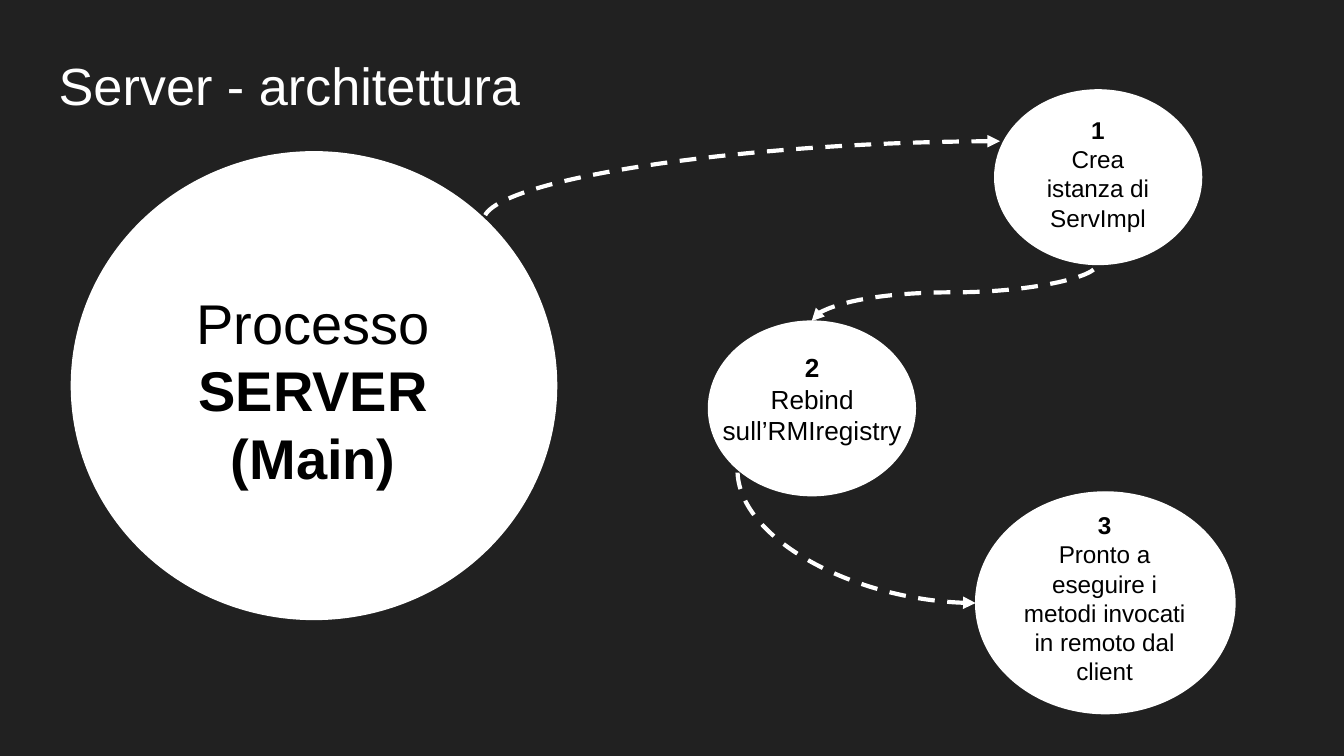
from dataclasses import dataclass

from lxml.etree import SubElement
from pptx import Presentation
from pptx.dml.color import RGBColor
from pptx.enum.dml import MSO_LINE
from pptx.enum.shapes import MSO_CONNECTOR, MSO_SHAPE
from pptx.enum.text import MSO_ANCHOR, MSO_AUTO_SIZE, PP_ALIGN
from pptx.oxml.ns import qn
from pptx.slide import Slide
from pptx.text.text import TextFrame
from pptx.util import Cm, Pt

BACKGROUND = RGBColor(0x21, 0x21, 0x21)
WHITE = RGBColor(0xFF, 0xFF, 0xFF)
BLACK = RGBColor(0x00, 0x00, 0x00)
FONT = "Arial"


@dataclass
class Area:
    """A rectangle in centimetres."""
    left: float
    top: float
    width: float
    height: float

    def lengths(self) -> tuple[Cm, Cm, Cm, Cm]:
        return Cm(self.left), Cm(self.top), Cm(self.width), Cm(self.height)


@dataclass
class Line:
    text: str
    bold: bool = False


@dataclass
class Bubble:
    ellipse: Area
    label: Area
    size: int
    lines: list[Line]


@dataclass
class Arrow:
    """A curve whose arrowhead lies at its start, in centimetres."""
    head: tuple[float, float]
    tail: tuple[float, float]
    s_curve: bool = False


BUBBLES = [
    Bubble(Area(1.35, 2.87, 9.17, 8.84), Area(2.06, 5.21, 7.72, 4.19), 30,
           [Line("Processo"), Line("SERVER", True), Line("(Main)", True)]),
    Bubble(Area(18.8, 1.7, 3.91, 3.3), Area(19.3, 1.93, 2.9, 2.64), 13,
           [Line("1", True), Line("Crea istanza di ServImpl")]),
    Bubble(Area(13.39, 6.07, 3.91, 3.3), Area(13.39, 6.4, 3.92, 2.16), 14,
           [Line("2", True), Line("Rebind sull’RMIregistry")]),
    Bubble(Area(18.44, 9.3, 4.9, 4.19), Area(18.92, 9.4, 3.91, 3.78), 13,
           [Line("3", True),
            Line("Pronto a eseguire i metodi invocati in remoto dal client")]),
]

ARROWS = [
    Arrow((18.9, 2.67), (9.14, 4.17)),
    Arrow((15.34, 6.07), (20.75, 4.98), s_curve=True),
    Arrow((18.44, 11.4), (13.94, 8.89)),
]


def format_frame(frame: TextFrame) -> None:
    frame.word_wrap = True
    frame.auto_size = MSO_AUTO_SIZE.NONE
    frame.vertical_anchor = MSO_ANCHOR.TOP
    frame.margin_left = frame.margin_right = Cm(0.25)
    frame.margin_top = frame.margin_bottom = Cm(0.25)


def add_title(page: Slide, text: str) -> None:
    title = page.shapes.title
    title.left, title.top, title.width, title.height = Area(0.86, 0.76, 23.67, 1.6).lengths()
    title.text_frame.text = text
    format_frame(title.text_frame)
    para = title.text_frame.paragraphs[0]
    para.alignment = PP_ALIGN.LEFT
    para.font.name = FONT
    para.font.size = Pt(28)
    para.font.color.rgb = WHITE


def add_bubble(page: Slide, bubble: Bubble) -> None:
    ellipse = page.shapes.add_shape(MSO_SHAPE.OVAL, *bubble.ellipse.lengths())
    ellipse.shadow.inherit = False
    ellipse.fill.solid()
    ellipse.fill.fore_color.rgb = WHITE
    ellipse.line.color.rgb = WHITE
    ellipse.line.width = Pt(0.75)

    frame = page.shapes.add_textbox(*bubble.label.lengths()).text_frame
    format_frame(frame)
    frame.text = "\n".join(line.text for line in bubble.lines)
    for para, line in zip(frame.paragraphs, bubble.lines):
        para.alignment = PP_ALIGN.CENTER
        para.font.name = FONT
        para.font.size = Pt(bubble.size)
        para.font.bold = line.bold
        para.font.color.rgb = BLACK


def add_arrow(page: Slide, arrow: Arrow) -> None:
    (x1, y1), (x2, y2) = arrow.head, arrow.tail
    if arrow.s_curve:
        # Swap width and height around the centre, ready for the quarter turn.
        middle_x, middle_y = (x1 + x2) / 2, (y1 + y2) / 2
        half_width, half_height = abs(y2 - y1) / 2, abs(x2 - x1) / 2
        x1, x2 = middle_x - half_width, middle_x + half_width
        y1, y2 = middle_y - half_height, middle_y + half_height
    curve = page.shapes.add_connector(MSO_CONNECTOR.CURVE, Cm(x1), Cm(y1), Cm(x2), Cm(y2))
    properties = curve._element.spPr
    if arrow.s_curve:
        properties.find(qn("a:xfrm")).set("rot", str(270 * 60000))
    else:
        properties.find(qn("a:prstGeom")).set("prst", "curvedConnector2")
    curve.line.color.rgb = WHITE
    curve.line.width = Pt(2.25)
    curve.line.dash_style = MSO_LINE.DASH
    SubElement(properties.find(qn("a:ln")), qn("a:headEnd"), type="triangle")
    SubElement(properties, qn("a:effectLst"))


def main() -> None:
    deck = Presentation()
    deck.slide_width, deck.slide_height = Cm(25.4), Cm(14.29)
    page = deck.slides.add_slide(deck.slide_layouts.get_by_name("Title Only"))
    page.background.fill.solid()
    page.background.fill.fore_color.rgb = BACKGROUND

    add_title(page, "Server - architettura")
    for bubble in BUBBLES:
        add_bubble(page, bubble)
    for arrow in ARROWS:
        add_arrow(page, arrow)
    deck.save("out.pptx")


if __name__ == "__main__":
    main()
